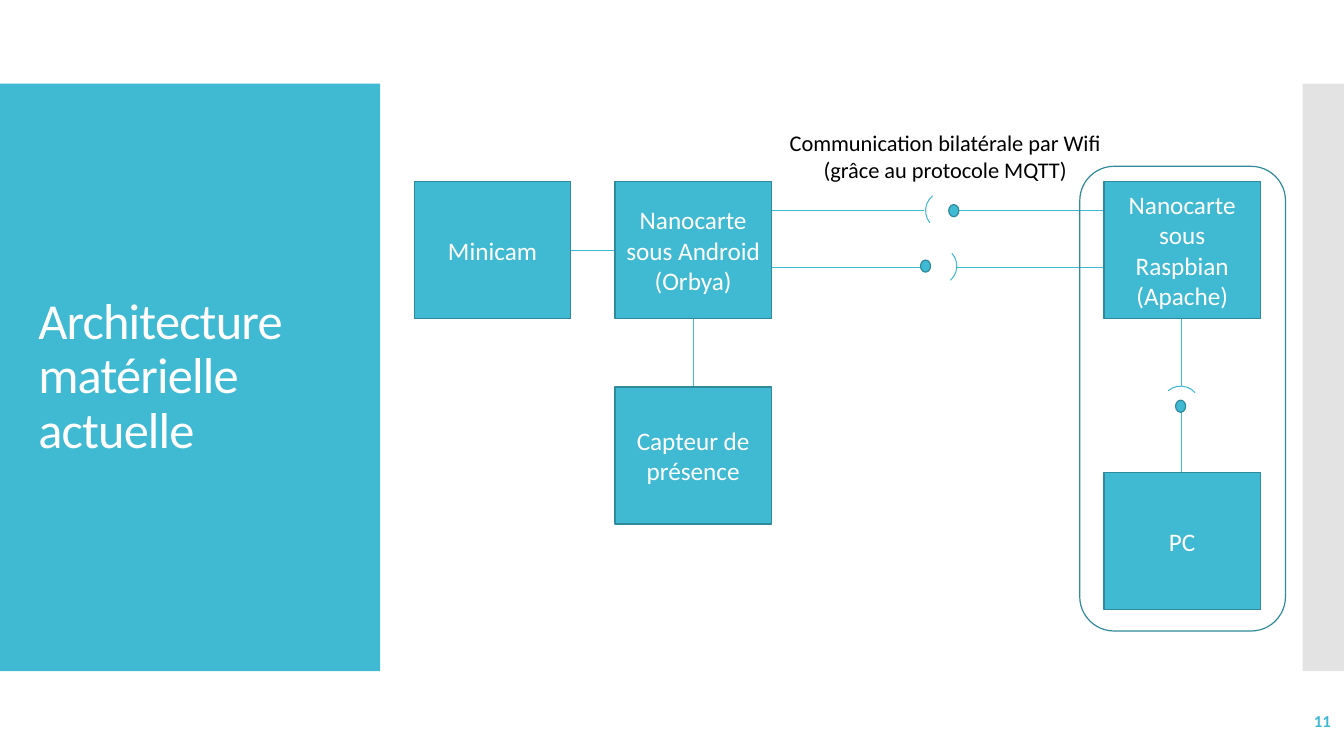
from lxml import etree
from pptx import Presentation
from pptx.dml.color import RGBColor
from pptx.enum.shapes import MSO_CONNECTOR, MSO_SHAPE
from pptx.enum.text import MSO_ANCHOR, MSO_AUTO_SIZE, PP_ALIGN
from pptx.oxml.ns import qn
from pptx.util import Inches, Pt

RECT, ROUND = MSO_SHAPE.RECTANGLE, MSO_SHAPE.ROUNDED_RECTANGLE
ARC, OVAL = MSO_SHAPE.ARC, MSO_SHAPE.OVAL
STRAIGHT = MSO_CONNECTOR.STRAIGHT
LEFT, CENTER, RIGHT = PP_ALIGN.LEFT, PP_ALIGN.CENTER, PP_ALIGN.RIGHT
TOP, MIDDLE = MSO_ANCHOR.TOP, MSO_ANCHOR.MIDDLE
NO_FIT = MSO_AUTO_SIZE.NONE

TEAL = RGBColor(0x40, 0xBA, 0xD2)
DARK = RGBColor(0x2F, 0x8A, 0x9B)
GRAY = RGBColor(0xC8, 0xC8, 0xC8)
WHITE = RGBColor(0xFF, 0xFF, 0xFF)
BLACK = RGBColor(0, 0, 0)


class Board:
    """Holds the style and the current slide."""

    face = "Calibri"
    thin, edge = Pt(0.75), Pt(0.85)

    def __init__(self, slide):
        self.shapes = slide.shapes

    def label(self, shape, lines, size, color, align=CENTER, anchor=MIDDLE, bold=False):
        frame = shape.text_frame
        frame.text = "\n".join(lines)
        for name, value in dict(word_wrap=True, auto_size=NO_FIT, vertical_anchor=anchor).items():
            setattr(frame, name, value)
        for para in frame.paragraphs:
            para.alignment = align
            for run in para.runs:
                look = dict(name=self.face, size=Pt(size), bold=bold)
                for name, value in look.items():
                    setattr(run.font, name, value)
                run.font.color.rgb = color

    def shape(self, kind, at, fill=None, line=None, width=edge, turn=0):
        item = self.shapes.add_shape(kind, *map(Inches, at))
        item.shadow.inherit = False
        item.rotation = turn
        if fill is None:
            item.fill.background()
        else:
            item.fill.solid()
            item.fill.fore_color.rgb = fill
        if line is None:
            item.line.fill.background()
        else:
            item.line.color.rgb = line
            item.line.width = width
        return item

    def box(self, x, y, *lines):
        item = self.shape(RECT, (x, y, BOX_W, BOX_H), TEAL, DARK)
        self.label(item, lines, 18, WHITE)

    def dot(self, x, y):
        """Ball of a link, given by its centre."""
        self.shape(OVAL, (x - 0.05, y - 0.06, 0.1, 0.12), TEAL, DARK)

    def cup(self, x, y, turn):
        """Socket of a link, given by its corner."""
        self.shape(ARC, (x, y, 0.38, 0.38), None, TEAL, self.thin, turn)

    def wire(self, *ends):
        item = self.shapes.add_connector(STRAIGHT, *map(Inches, ends))
        item.line.color.rgb = TEAL
        item.line.width = self.thin
        etree.SubElement(item.element.spPr, qn("a:effectLst"))

    def text(self, at, lines, size, color, **look):
        item = self.shapes.add_textbox(*map(Inches, at))
        self.label(item, lines, size, color, **look)

    def title(self, at, words):
        item = self.shapes.title
        places = dict(zip(("left", "top", "width", "height"), map(Inches, at)))
        for name, value in places.items():
            setattr(item, name, value)
        self.label(item, [words], 36, WHITE, LEFT)
        item.text_frame.paragraphs[0].line_spacing = 0.9
        for node in item.element.iter(qn("a:rPr")):
            node.set("spc", "-60")
        # Bring the title in front of the side panel
        item.element.getparent().append(item.element)


BOX_W, BOX_H = 1.55, 1.36
CAM_X, HUB_X, NET_X = 4.11, 6.1, 10.95
ROW_Y, LOW_Y, PC_Y = 1.8, 3.84, 4.69
OUT_Y, BACK_Y = 2.09, 2.65
HUB_MID, NET_MID = 6.88, 11.72


def main():
    deck = Presentation()
    deck.slide_width, deck.slide_height = Inches(13.33), Inches(7.5)
    board = Board(deck.slides.add_slide(deck.slide_layouts[5]))

    # Side panels and title
    board.shape(RECT, (0, 0.83, 3.77, 5.83), TEAL)
    strip = board.shape(RECT, (12.92, 0.83, 0.41, 5.83), GRAY)
    tint = strip.element.spPr.find(".//" + qn("a:srgbClr"))
    etree.SubElement(tint, qn("a:alpha"), val="50000")
    board.title((0.28, 1.23, 3.22, 5.03), "Architecture matérielle actuelle")

    # Wires
    for y in (OUT_Y, BACK_Y):
        board.wire(HUB_X + BOX_W, y, 9.16, y)
        board.wire(9.49, y, NET_X, y)
    board.wire(CAM_X + BOX_W, 2.49, HUB_X, 2.49)
    board.wire(HUB_MID, ROW_Y + BOX_H, HUB_MID, LOW_Y)
    board.wire(NET_MID, ROW_Y + BOX_H, NET_MID, 3.83)
    board.wire(NET_MID, PC_Y, NET_MID, 4.08)

    # Balls and sockets
    for x, y, turn in ((9.18, 1.9, 231.1), (9.11, 2.45, 48.1), (11.52, 3.83, 319)):
        board.cup(x, y, turn)
    for x, y in ((9.46, OUT_Y), (9.18, BACK_Y - 0.01), (NET_MID - 0.01, 4.03)):
        board.dot(x, y)

    # Devices
    board.box(CAM_X, ROW_Y, "Minicam")
    board.box(HUB_X, ROW_Y, "Nanocarte sous Android", "(Orbya)")
    board.box(HUB_X, LOW_Y, "Capteur de présence")
    board.box(NET_X, ROW_Y, "Nanocarte sous Raspbian", "(Apache)")
    board.box(NET_X, PC_Y, "PC")

    # Group frame, caption and slide number
    board.text((7.54, 1.23, 3.67, 0.64),
               ["Communication bilatérale par Wifi (grâce au protocole MQTT)"],
               16, BLACK, anchor=TOP)
    board.shape(ROUND, (10.71, 1.65, 2.04, 4.61), None, DARK)
    board.text((11.63, 6.95, 1.67, 0.4), ["11"], 12, TEAL, align=RIGHT, bold=True)

    deck.save("out.pptx")


if __name__ == "__main__":
    main()
